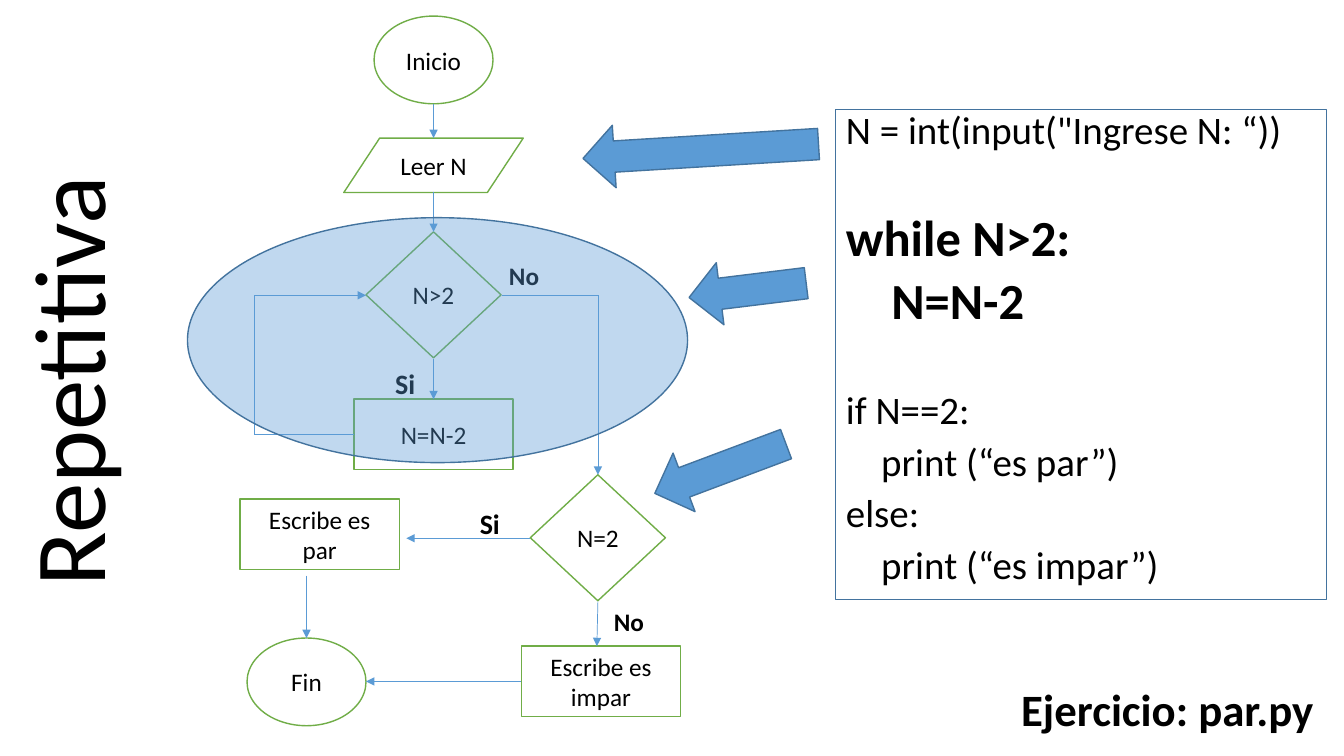
"""Build the slide that pairs a loop flowchart with its Python code."""
from dataclasses import dataclass

from pptx import Presentation
from pptx import util as u
from pptx.dml.color import RGBColor
from pptx.enum import shapes, text
from pptx.oxml.ns import qn
from lxml import etree

FONT = "Calibri"
COLORS = {
    "ink": "000000",
    "paper": "FFFFFF",
    "node": "70AD47",
    "accent": "5B9BD5",
    "edge": "43739E",
}
KIND = shapes.MSO_SHAPE
NODE_SIZES = {
    KIND.OVAL: (1.18, 0.87),
    KIND.FLOWCHART_DATA: (1.78, 0.54),
    KIND.FLOWCHART_DECISION: (1.34, 1.25),
    KIND.RECTANGLE: (1.58, 0.7),
}


@dataclass
class Node:
    caption: str
    kind: shapes.MSO_SHAPE
    left: float
    top: float


@dataclass
class Label:
    caption: str
    left: float
    top: float
    width: float
    height: float
    size: float
    wrap: bool = False


@dataclass
class Pointer:
    left: float
    top: float
    width: float
    rotation: float


@dataclass
class CodeLine:
    code: str
    size: float = 27.8
    bold: bool = False
    indent: float = 0
    before: float = 10


NODES = [
    Node("Inicio", KIND.OVAL, 3.71, 0.16),
    Node("Leer N", KIND.FLOWCHART_DATA, 3.41, 1.37),
    Node("N>2", KIND.FLOWCHART_DECISION, 3.63, 2.3),
    Node("N=N-2", KIND.RECTANGLE, 3.51, 3.96),
    Node("N=2", KIND.FLOWCHART_DECISION, 5.26, 4.71),
    Node("Fin", KIND.OVAL, 2.45, 6.33),
    Node("Escribe es par", KIND.RECTANGLE, 2.38, 4.95),
    Node("Escribe es impar", KIND.RECTANGLE, 5.17, 6.41),
]
ROUTES = [
    [(4.3, 1.03), (4.3, 1.37)],
    [(4.3, 1.9), (4.3, 2.3)],
    [(4.3, 3.56), (4.3, 3.96)],
    [(3.51, 4.31), (2.52, 4.31), (2.52, 2.93), (3.63, 2.93)],
    [(4.98, 2.93), (5.93, 2.93), (5.93, 4.71)],
    [(5.26, 5.34), (4.03, 5.34)],
    [(5.17, 6.76), (3.63, 6.76)],
    [(5.93, 5.97), (5.92, 6.41)],
    [(3.04, 5.71), (3.04, 6.33)],
]
LABELS = [
    Label("Si", 3.82, 3.59, 0.52, 0.44, 20, True),
    Label("No", 4.95, 2.53, 0.5, 0.4, 18),
    Label("No", 5.99, 5.97, 0.5, 0.4, 18),
    Label("Si", 4.66, 4.98, 0.52, 0.44, 20, True),
    Label("Ejercicio: par.py", 10.03, 6.71, 3.13, 0.64, 32),
]
POINTERS = [
    Pointer(5.78, 1.19, 2.34, 176.5),
    Pointer(6.83, 2.57, 1.17, 173),
    Pointer(6.45, 4.34, 1.39, 159.4),
]
CODE = [
    CodeLine('N = int(input("Ingrese N: “))'),
    CodeLine("while N>2:", 36.1, True, before=47),
    CodeLine("N=N-2", 36.1, True, 0.45),
    CodeLine("if N==2:", before=47),
    CodeLine("print (“es par”)", indent=0.35),
    CodeLine("else:"),
    CodeLine("print (“es impar”)", indent=0.35),
]


def color(name: str) -> RGBColor:
    """Return a named colour."""
    return RGBColor.from_string(COLORS[name])


def place(shape, left: float, top: float, width: float, height: float) -> None:
    """Move and size a shape in inches."""
    shape.left, shape.top = u.Inches(left), u.Inches(top)
    shape.width, shape.height = u.Inches(width), u.Inches(height)


def set_font(paragraph, size: float, bold: bool = False) -> None:
    """Format all the text of a paragraph."""
    font = paragraph.font
    font.name, font.size, font.bold = FONT, u.Pt(size), bold
    font.color.rgb = color("ink")


def add_figure(slide, kind, left: float, top: float, width: float, height: float,
               fill: str, line: str):
    """Add a filled and outlined preset shape."""
    shape = slide.shapes.add_shape(kind, *map(u.Inches, (left, top, width, height)))
    shape.shadow.inherit = False
    shape.fill.solid()
    shape.fill.fore_color.rgb = color(fill)
    shape.line.color.rgb = color(line)
    shape.line.width = u.Pt(1)
    return shape


def add_node(slide, node: Node) -> None:
    """Add a captioned flowchart step."""
    shape = add_figure(slide, node.kind, node.left, node.top,
                       *NODE_SIZES[node.kind], "paper", "node")
    frame = shape.text_frame
    frame.text = node.caption
    frame.vertical_anchor = text.MSO_ANCHOR.MIDDLE
    paragraph = frame.paragraphs[0]
    paragraph.alignment = text.PP_ALIGN.CENTER
    set_font(paragraph, 18)


def add_route(slide, points: list[tuple[float, float]]) -> None:
    """Join points with lines and put an arrowhead on the last one."""
    for start, end in zip(points, points[1:]):
        connector = slide.shapes.add_connector(
            shapes.MSO_CONNECTOR.STRAIGHT, *map(u.Inches, start + end))
        connector.line.color.rgb = color("accent")
        connector.line.width = u.Pt(0.5)
        properties = connector.element.spPr
        etree.SubElement(properties, qn("a:effectLst"))
    etree.SubElement(properties.find(qn("a:ln")), qn("a:tailEnd"), type="triangle")


def add_label(slide, label: Label) -> None:
    """Add a bold free-standing label."""
    box = slide.shapes.add_textbox(
        *map(u.Inches, (label.left, label.top, label.width, label.height)))
    frame = box.text_frame
    frame.word_wrap = label.wrap
    frame.auto_size = text.MSO_AUTO_SIZE.SHAPE_TO_FIT_TEXT
    frame.text = label.caption
    set_font(frame.paragraphs[0], label.size, True)


def fill_title(title) -> None:
    """Turn the title upright along the left edge."""
    place(title, -1.51, 3.1, 4.33, 1.31)
    title.rotation = 270
    frame = title.text_frame
    frame.text = "Repetitiva"
    frame.word_wrap = False
    frame.auto_size = text.MSO_AUTO_SIZE.NONE
    frame.vertical_anchor = text.MSO_ANCHOR.TOP
    frame.paragraphs[0].alignment = text.PP_ALIGN.LEFT
    set_font(frame.paragraphs[0], 72)


def fill_code(body) -> None:
    """Write the program in the outlined body."""
    place(body, 8.29, 1.09, 4.87, 4.86)
    body.line.color.rgb = color("edge")
    body.line.width = u.Pt(0.75)
    frame = body.text_frame
    frame.auto_size = text.MSO_AUTO_SIZE.NONE
    frame.text = "\n".join(line.code for line in CODE)
    for paragraph, line in zip(frame.paragraphs, CODE):
        set_font(paragraph, line.size, line.bold)
        paragraph.line_spacing = 0.8
        paragraph.space_before = u.Pt(line.before)
        properties = paragraph._p.get_or_add_pPr()
        properties.set("marL", str(u.Inches(line.indent)))
        properties.set("indent", "0")
        properties.insert_element_before(
            etree.Element(qn("a:buNone")), "a:tabLst", "a:defRPr", "a:extLst")


def main() -> None:
    """Build and save the presentation."""
    presentation = Presentation()
    presentation.slide_width = u.Inches(13.33)
    presentation.slide_height = u.Inches(7.5)
    slide = presentation.slides.add_slide(presentation.slide_layouts[1])
    fill_title(slide.shapes.title)
    fill_code(slide.placeholders[1])
    for node in NODES:
        add_node(slide, node)
    for route in ROUTES:
        add_route(slide, route)
    for label in LABELS:
        add_label(slide, label)
    loop = add_figure(slide, KIND.OVAL, 1.86, 2.16, 4.96, 2.43, "accent", "edge")
    tint = loop.element.spPr.find(qn("a:solidFill")).find(qn("a:srgbClr"))
    etree.SubElement(tint, qn("a:alpha"), val="38000")
    for pointer in POINTERS:
        arrow = add_figure(slide, KIND.RIGHT_ARROW, pointer.left, pointer.top,
                           pointer.width, 0.62, "accent", "edge")
        arrow.rotation = pointer.rotation
    presentation.save("out.pptx")


if __name__ == "__main__":
    main()
